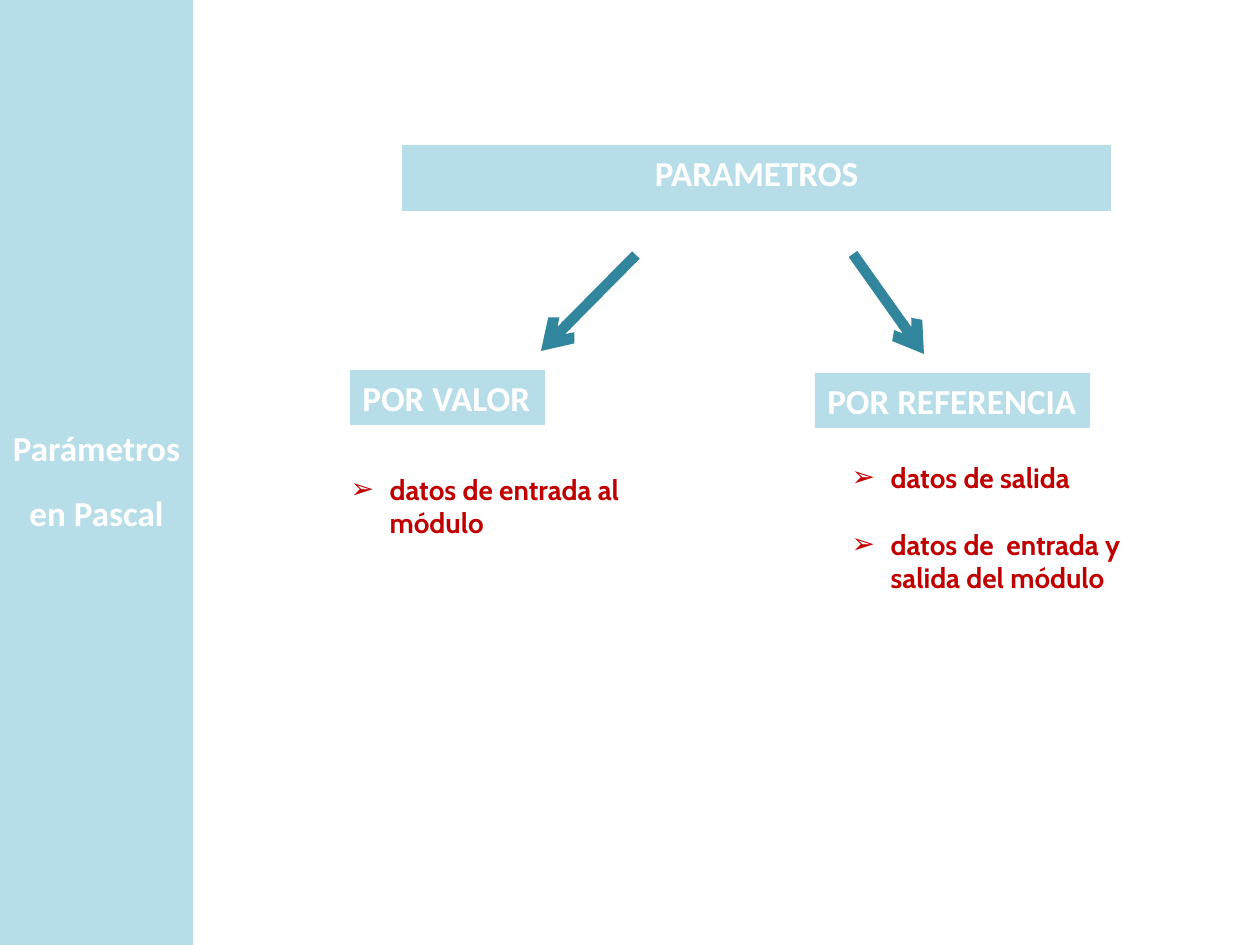
from lxml.etree import SubElement
from pptx import Presentation
from pptx.dml.color import RGBColor
from pptx.enum.shapes import MSO_CONNECTOR as Connector, MSO_SHAPE as Shape
from pptx.enum.text import MSO_ANCHOR as Anchor, MSO_AUTO_SIZE as AutoSize, PP_ALIGN as Align
from pptx.oxml.ns import qn
from pptx.util import Emu, Pt

COLORS = {"panel": "B7DEE8", "arrow": "31859C", "light": "FFFFFF", "item": "C00000"}
PX_PER_INCH = 126
TWO_CONTENT = 3


def px(n):
    return Emu(round(n * 914400 / PX_PER_INCH))


def color(name):
    return RGBColor.from_string(COLORS[name])


def place(sp, box):
    sp.left, sp.top, sp.width, sp.height = map(px, box)


def fill_panel(sp):
    sp.fill.solid()
    sp.fill.fore_color.rgb = color("panel")
    sp.line.fill.background()


def set_frame(sp, anchor, wrap=True):
    tf = sp.text_frame
    tf.auto_size = AutoSize.NONE
    tf.word_wrap = wrap
    tf.vertical_anchor = anchor
    return tf


def add_run(p, text, font, size, color_name):
    r = p.add_run()
    r.text = text
    r.font.name = font
    r.font.size = Pt(size)
    r.font.bold = True
    r.font.color.rgb = color(color_name)


def write_lines(tf, lines, align, spacing=1.0, gap=0):
    for i, text in enumerate(lines):
        p = tf.add_paragraph() if i else tf.paragraphs[0]
        p.alignment = align
        p.line_spacing = spacing
        p.space_before = Pt(gap if i else 0)
        add_run(p, text, "Calibri", 20, "light")


def add_label(slide, text, box, align, wrap):
    sp = slide.shapes.add_shape(Shape.RECTANGLE, *map(px, box))
    sp.shadow.inherit = False
    fill_panel(sp)
    write_lines(set_frame(sp, Anchor.TOP, wrap), [text], align)


def add_arrow(slide, start, end):
    line = slide.shapes.add_connector(Connector.STRAIGHT, *map(px, start + end))
    line.line.color.rgb = color("arrow")
    line.line.width = Pt(6)
    SubElement(line.line._get_or_add_ln(), qn("a:tailEnd"), type="arrow")
    SubElement(line._element.spPr, qn("a:effectLst"))


def set_bullet(p):
    pPr = p._p.get_or_add_pPr()
    pPr.set("marL", str(px(39)))
    pPr.set("indent", str(-px(39)))
    clr = SubElement(pPr, qn("a:buClr"))
    SubElement(clr, qn("a:srgbClr"), val=COLORS["item"])
    SubElement(pPr, qn("a:buChar"), char="➢")


def fill_list(sp, items, box):
    place(sp, box)
    tf = set_frame(sp, Anchor.TOP)
    for i, text in enumerate(items):
        p = tf.add_paragraph() if i else tf.paragraphs[0]
        set_bullet(p)
        p.space_before = Pt(19 if i else 0)
        add_run(p, text, "Cabin", 16, "item")


def fill_side_title(sp, lines):
    place(sp, (0, 0, 193, 945))
    fill_panel(sp)
    write_lines(set_frame(sp, Anchor.MIDDLE), lines, Align.CENTER, 1.35, 5)


def main():
    prs = Presentation()
    prs.slide_width, prs.slide_height = px(1260), px(945)
    slide = prs.slides.add_slide(prs.slide_layouts[TWO_CONTENT])
    title, value_list, reference_list = list(slide.placeholders)[:3]

    # Side panel with the topic
    fill_side_title(title, ["Parámetros", "en Pascal"])

    # Root of the diagram and its two branches
    add_label(slide, "PARAMETROS", (402, 145, 709, 66), Align.CENTER, True)
    add_label(slide, "POR VALOR", (350, 370, 195, 55), Align.LEFT, False)
    add_label(slide, "POR REFERENCIA", (815, 373, 275, 55), Align.LEFT, False)
    add_arrow(slide, (636, 255), (541, 351))
    add_arrow(slide, (853, 254), (924, 354))

    # What each kind of parameter carries
    fill_list(value_list, ["datos de entrada al módulo"], (338, 466, 299, 113))
    fill_list(reference_list, ["datos de salida", "datos de  entrada y salida del módulo"],
              (839, 454, 302, 181))

    prs.save("out.pptx")


if __name__ == "__main__":
    main()
